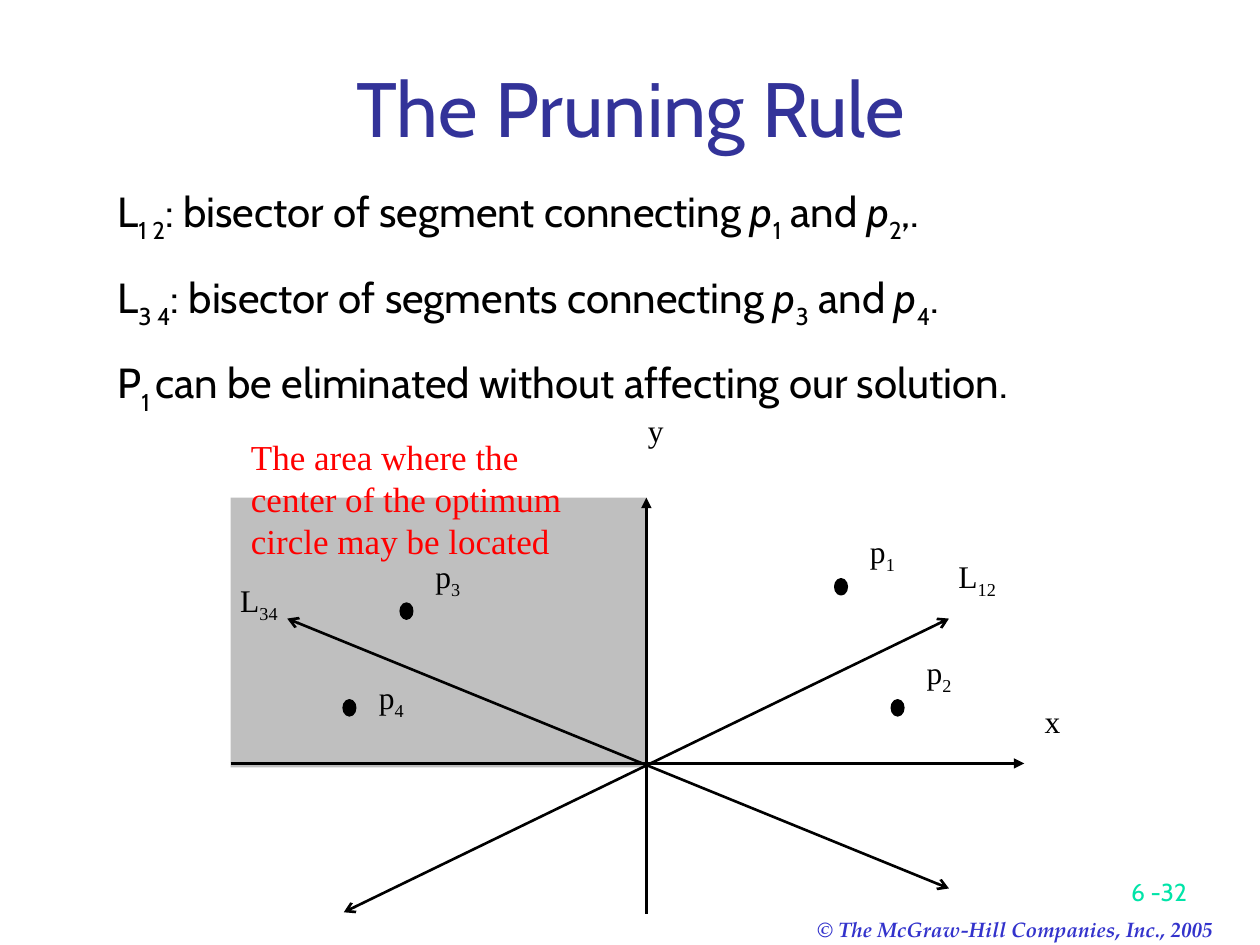
from lxml import etree
from pptx import Presentation
from pptx.dml.color import RGBColor
from pptx.enum import shapes, text
from pptx.oxml import ns
from pptx.util import Cm, Pt

theme = {
    "title": {"name": "Cabin", "size": Pt(44), "color": "333399"},
    "body": {"name": "Cabin", "size": Pt(24), "color": "000000"},
    "label": {"name": "Times New Roman", "size": Pt(18), "color": "000000"},
    "note": {"name": "Times New Roman", "size": Pt(20), "color": "FF0000"},
    "number": {"name": "Cabin", "size": Pt(14), "color": "00E4A8"},
    "copyright": {"name": "TeX Gyre Pagella", "size": Pt(12), "color": "3333CC",
                  "bold": True, "italic": True},
    "area": "BFBFBF",
    "ink": "000000",
}
tight = dict.fromkeys(("margin_left", "margin_top", "margin_right", "margin_bottom"), Cm(0.03))
bottom = {"vertical_anchor": text.MSO_ANCHOR.BOTTOM}
left, center, right, justify = (
    text.PP_ALIGN.LEFT, text.PP_ALIGN.CENTER, text.PP_ALIGN.RIGHT, text.PP_ALIGN.JUSTIFY)


def place(shape, box, frame_format):
    for name, value in zip(("left", "top", "width", "height"), box):
        setattr(shape, name, Cm(value))
    frame_values = {"word_wrap": True, "auto_size": text.MSO_AUTO_SIZE.NONE, **frame_format}
    for name, value in frame_values.items():
        setattr(shape.text_frame, name, value)
    return shape.text_frame


def write(paragraph, pieces, style, alignment, baseline=-25):
    paragraph.alignment = alignment
    for content, kind in pieces:
        run = paragraph.add_run()
        run.text = content
        for name, value in theme[style].items():
            if name == "color":
                run.font.color.rgb = RGBColor.from_string(value)
            else:
                setattr(run.font, name, value)
        if kind == "italic":
            run.font.italic = True
        if kind == "sub":
            run._r.get_or_add_rPr().set("baseline", str(baseline * 1000))


presentation = Presentation()
presentation.slide_width, presentation.slide_height = Cm(25.4), Cm(19.05)
slide = presentation.slides.add_slide(presentation.slide_layouts[1])

frame = place(slide.shapes.title, (1.9, 1.07, 21.64, 2.13), bottom)
write(frame.paragraphs[0], [("The Pruning Rule", "")], "title", center)

statements = [
    [("L", ""), ("1 2", "sub"), (": bisector of segment connecting ", ""), ("p", "italic"),
     ("1", "sub"), (" and ", ""), ("p", "italic"), ("2", "sub"), (",.", "")],
    [("L", ""), ("3 4", "sub"), (": bisector of segments connecting ", ""), ("p", "italic"),
     ("3", "sub"), (" and ", ""), ("p", "italic"), ("4", "sub"), (".", "")],
    [("P", ""), ("1 ", "sub"), ("can be eliminated without affecting our solution.", "")],
]
frame = place(slide.placeholders[1], (2.11, 3.61, 21.59, 11.96), {})
for index, pieces in enumerate(statements):
    paragraph = frame.add_paragraph() if index else frame.paragraphs[0]
    paragraph.space_before = Pt(15 if index else 0)
    properties = paragraph._p.get_or_add_pPr()
    properties.set("marL", str(Cm(0.95)))
    properties.set("indent", str(-Cm(0.95)))
    etree.SubElement(properties, ns.qn("a:buNone"))
    write(paragraph, pieces, "body", justify, -30)

area = slide.shapes.add_shape(
    shapes.MSO_SHAPE.RECTANGLE, Cm(4.65), Cm(10.03), Cm(8.38), Cm(5.44))
area.shadow.inherit = False
area.fill.solid()
area.fill.fore_color.rgb = RGBColor.from_string(theme["area"])
area.line.fill.background()

lines = [
    ((4.65, 15.39, 20.65, 15.39), 2, {"tailEnd": "triangle"}),
    ((13.03, 10.03, 13.03, 18.42), 2, {"headEnd": "triangle"}),
    ((5.79, 12.47, 19.13, 17.91), 1.5, {"headEnd": "arrow", "tailEnd": "arrow"}),
    ((6.93, 18.39, 19.13, 12.47), 1.5, {"headEnd": "arrow", "tailEnd": "arrow"}),
]
for ends, width, arrows in lines:
    connector = slide.shapes.add_connector(
        shapes.MSO_CONNECTOR.STRAIGHT, *(Cm(value) for value in ends))
    connector.line.width = Pt(width)
    connector.line.color.rgb = RGBColor.from_string(theme["ink"])
    for tag, kind in arrows.items():
        etree.SubElement(connector.line._get_or_add_ln(), ns.qn(f"a:{tag}"), type=kind)
    etree.SubElement(connector._element.spPr, ns.qn("a:effectLst"))

labels = [
    ("y", "", 12.65, 8.26), ("p", "3", 8.46, 11.2), ("p", "1", 17.22, 10.69),
    ("L", "12", 19.13, 11.2), ("p", "4", 7.32, 13.64), ("p", "2", 18.36, 13.13),
    ("L", "34", 4.65, 11.68), ("x", "", 20.65, 14.12),
]
texts = [
    ([("The area where the center of the optimum circle may be located", "")],
     "note", (5.03, 8.74, 7.24, 2.95), left, tight),
    ([("6 -32", "")], "number", (18.9, 17.12, 5.28, 1.27), right, bottom),
    ([("© The McGraw-Hill Companies, Inc., 2005", "")],
     "copyright", (16.23, 18.36, 9.35, 0.76), left, {}),
]
for letter, subscript, x, y in labels:
    pieces = [(letter, "")] + ([(subscript, "sub")] if subscript else [])
    texts.append((pieces, "label", (x, y, 1.14, 1.47), center, tight))
for pieces, style, box, alignment, frame_format in texts:
    frame = place(slide.shapes.add_textbox(0, 0, 0, 0), box, frame_format)
    write(frame.paragraphs[0], pieces, style, alignment)

for x, y in [(8.08, 12.17), (6.93, 14.12), (16.84, 11.68), (17.98, 14.12)]:
    point = slide.shapes.add_shape(shapes.MSO_SHAPE.OVAL, Cm(x), Cm(y), Cm(0.23), Cm(0.3))
    point.shadow.inherit = False
    point.fill.solid()
    point.line.width = Pt(1.5)
    for color in (point.fill.fore_color, point.line.color):
        color.rgb = RGBColor.from_string(theme["ink"])

presentation.save("out.pptx")
